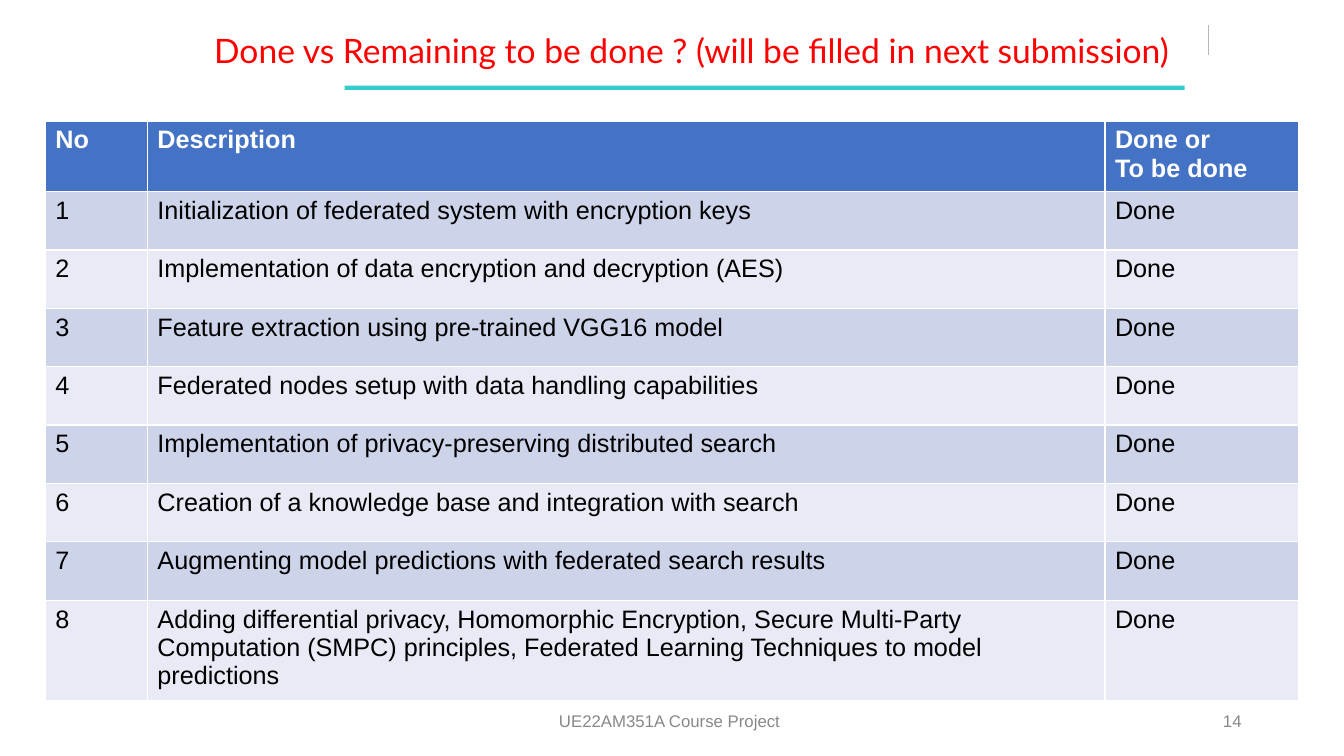
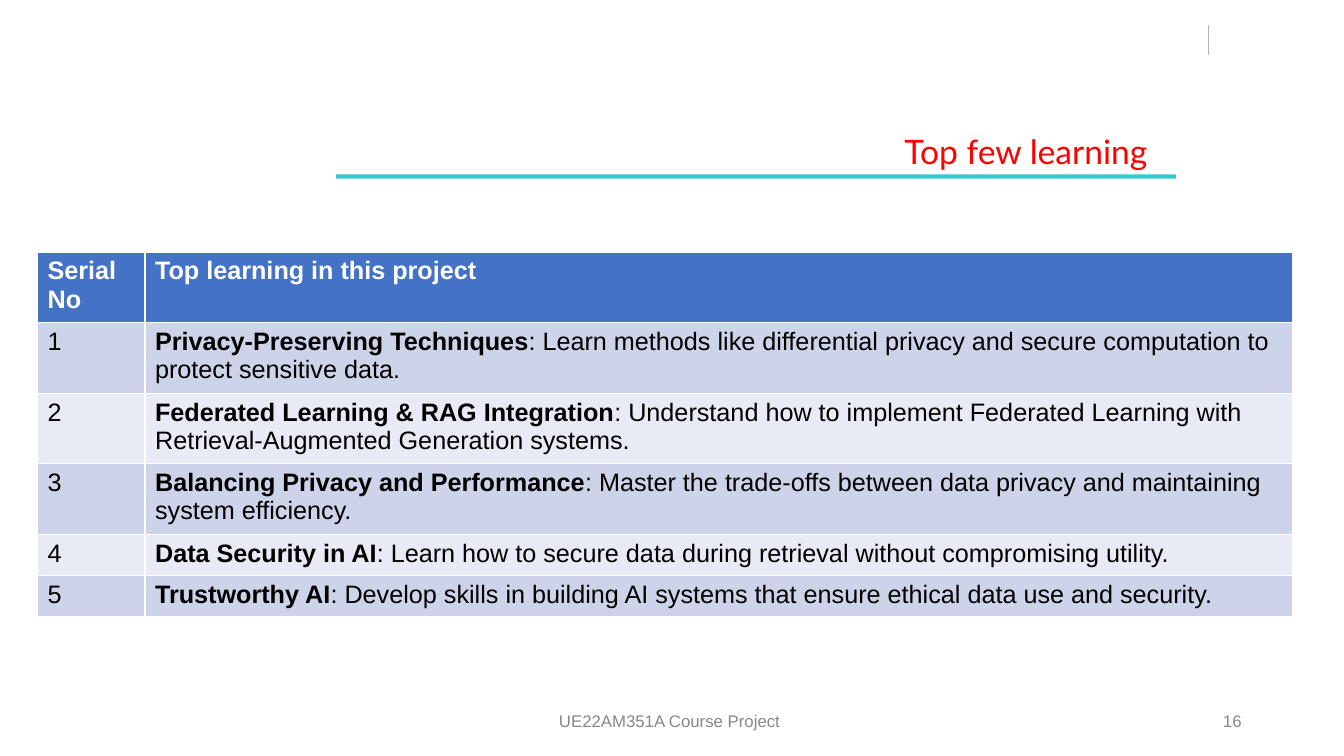
"""Build the project status and top learning slides."""
import pptx
import pptx.dml.color
import pptx.enum.shapes
import pptx.enum.text
import pptx.oxml.ns
import pptx.util
from lxml import etree

Pt = pptx.util.Pt
RGBColor = pptx.dml.color.RGBColor
ALIGN = pptx.enum.text.PP_ALIGN
ANCHOR = pptx.enum.text.MSO_ANCHOR

RED = RGBColor(0xFF, 0x00, 0x00)
TEAL = RGBColor(0x33, 0xCC, 0xCC)
BLUE = RGBColor(0x44, 0x72, 0xC4)
BANDS = [RGBColor(0xE8, 0xEB, 0xF5), RGBColor(0xCD, 0xD4, 0xEA)]
WHITE = RGBColor(0xFF, 0xFF, 0xFF)
BLACK = RGBColor(0x00, 0x00, 0x00)
GREY = RGBColor(0x88, 0x88, 0x88)
LIGHT_GREY = RGBColor(0xB7, 0xB7, 0xB7)

TASKS = [
    "Initialization of federated system with encryption keys",
    "Implementation of data encryption and decryption (AES)",
    "Feature extraction using pre-trained VGG16 model",
    "Federated nodes setup with data handling capabilities",
    "Implementation of privacy-preserving distributed search",
    "Creation of a knowledge base and integration with search",
    "Augmenting model predictions with federated search results",
    "Adding differential privacy, Homomorphic Encryption, Secure Multi-Party Computation (SMPC) "
    "principles, Federated Learning Techniques to model predictions",
]
LEARNINGS = [
    "Privacy-Preserving Techniques: Learn methods like differential privacy and secure computation "
    "to protect sensitive data.",
    "Federated Learning & RAG Integration: Understand how to implement Federated Learning with "
    "Retrieval-Augmented Generation systems.",
    "Balancing Privacy and Performance: Master the trade-offs between data privacy and maintaining "
    "system efficiency.",
    "Data Security in AI: Learn how to secure data during retrieval without compromising utility.",
    "Trustworthy AI: Develop skills in building AI systems that ensure ethical data use and security.",
]
SLIDES = [
    dict(
        title="Done vs Remaining to be done ? (will be filled in next submission)",
        title_box=(105, 18, 750.4, 36), rule=(246.2, 61.2), number="14",
        table_at=(32.4, 86.4), columns=[72.9, 684, 138.2], row_height=41.7,
        rows=[["No", "Description", "Done or\nTo be done"]]
        + [[str(number), task, "Done"] for number, task in enumerate(TASKS, 1)],
    ),
    dict(
        title="Top few learning",
        title_box=(228, 90, 612, 36), rule=(240, 124.6), number="16",
        table_at=(26.8, 180), columns=[76.8, 820], row_height=29.2,
        rows=[["Serial\nNo", "Top learning in this project"]]
        + [[str(number), learning] for number, learning in enumerate(LEARNINGS, 1)],
    ),
]


def write(frame, text, size=18, font="Arial", color=BLACK, bold=False, align=ALIGN.LEFT):
    """Fill a text frame, setting any words before a colon in bold."""
    frame.word_wrap = True
    for index, line in enumerate(text.split("\n")):
        paragraph = frame.add_paragraph() if index else frame.paragraphs[0]
        paragraph.alignment = align
        lead, colon, rest = line.partition(":")
        parts = [(lead, True), (colon + rest, False)] if colon else [(line, bold)]
        for words, heavy in parts:
            run = paragraph.add_run()
            run.text = words
            run.font.name = font
            run.font.size = Pt(size)
            run.font.bold = heavy
            run.font.color.rgb = color


presentation = pptx.Presentation()
presentation.slide_width = Pt(960)
presentation.slide_height = Pt(540)

for content in SLIDES:
    slide = presentation.slides.add_slide(presentation.slide_layouts[6])
    shapes = slide.shapes

    corner_line = shapes.add_connector(
        pptx.enum.shapes.MSO_CONNECTOR.STRAIGHT, Pt(863.3), Pt(18), Pt(863.3), Pt(39.6))
    corner_line.line.color.rgb = LIGHT_GREY
    corner_line.line.width = Pt(0.75)
    etree.SubElement(corner_line._element.spPr, pptx.oxml.ns.qn("a:effectLst"))

    rule_left, rule_top = content["rule"]
    title_rule = shapes.add_shape(
        pptx.enum.shapes.MSO_SHAPE.RECTANGLE, Pt(rule_left), Pt(rule_top), Pt(600), Pt(3))
    title_rule.shadow.inherit = False
    title_rule.fill.solid()
    title_rule.fill.fore_color.rgb = TEAL
    title_rule.line.fill.background()

    title = shapes.add_textbox(*map(Pt, content["title_box"]))
    title.text_frame.margin_right = Pt(20.4)
    write(title.text_frame, content["title"], size=24, font="Lato", color=RED, align=ALIGN.RIGHT)

    rows, columns = content["rows"], content["columns"]
    left, top = content["table_at"]
    table = shapes.add_table(
        len(rows), len(columns), Pt(left), Pt(top),
        Pt(sum(columns)), Pt(content["row_height"] * len(rows))).table
    for column, width in zip(table.columns, columns):
        column.width = Pt(width)
    for row_index, row in enumerate(rows):
        table.rows[row_index].height = Pt(content["row_height"])
        header = row_index == 0
        for column_index, text in enumerate(row):
            cell = table.cell(row_index, column_index)
            cell.fill.solid()
            cell.fill.fore_color.rgb = BLUE if header else BANDS[row_index % 2]
            write(cell.text_frame, text, color=WHITE if header else BLACK, bold=header)

    for text, box_left, box_width, align in [
        ("UE22AM351A Course Project ", 318, 324, ALIGN.CENTER),
        (content["number"], 678, 216, ALIGN.RIGHT),
    ]:
        footer = shapes.add_textbox(Pt(box_left), Pt(500.5), Pt(box_width), Pt(28.8))
        footer.text_frame.vertical_anchor = ANCHOR.MIDDLE
        write(footer.text_frame, text, size=12, color=GREY, align=align)

presentation.save("out.pptx")
